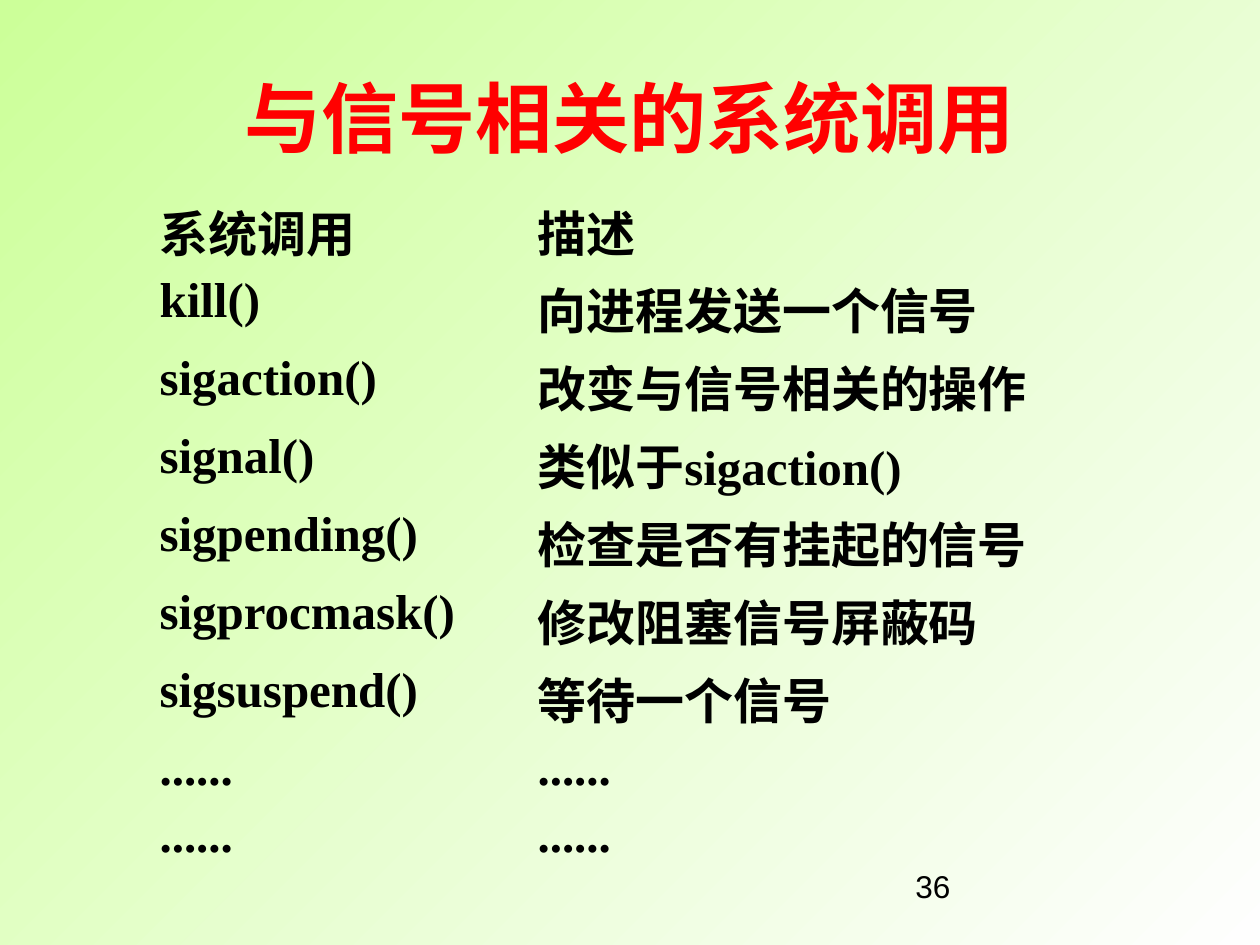
"""Build a slide listing the system calls related to signals."""
from pptx import Presentation
from pptx import util as u
from pptx.dml.color import RGBColor
from pptx.enum import text

PX = 914400 / 126
COLORS = {"black": "000000", "title": "FF0000", "light": "FEFEFE", "green": "CCFF99"}
NO_GRID = "{2D5ABB26-0587-4C30-8999-92F81FD0307C}"
ROWS = [
    ("系统调用", "描述"),
    ("kill()", "向进程发送一个信号"),
    ("sigaction()", "改变与信号相关的操作"),
    ("signal()", "类似于sigaction()"),
    ("sigpending()", "检查是否有挂起的信号"),
    ("sigprocmask()", "修改阻塞信号屏蔽码"),
    ("sigsuspend()", "等待一个信号"),
    ("......", "......"),
    ("......", "......"),
]
COL_WIDTHS = [378, 641]
ROW_HEIGHTS = [78] * 7 + [67] * 2


def px(*values):
    return [u.Emu(round(v * PX)) for v in values]


def write(tf, words, font, size, color, bold):
    p = tf.paragraphs[0]
    p.add_run().text = words
    p.font.name, p.font.size, p.font.bold = font, u.Pt(size), bold
    p.font.color.rgb = RGBColor.from_string(COLORS[color])
    return p


prs = Presentation()
prs.slide_width, prs.slide_height = px(1260, 945)
s = prs.slides.add_slide(prs.slide_layouts[6])

fill = s.background.fill
fill.gradient()
fill.gradient_angle = 135
for stop, name in zip(fill.gradient_stops, ("light", "green")):
    stop.color.rgb = RGBColor.from_string(COLORS[name])

tf = s.shapes.add_textbox(*px(903, 861, 294, 66)).text_frame
tf.word_wrap = True
write(tf, "36", "Arial", 18, "black", False)

tf = s.shapes.add_textbox(*px(63, 38, 1134, 158)).text_frame
tf.word_wrap = True
tf.vertical_anchor = text.MSO_ANCHOR.MIDDLE
p = write(tf, "与信号相关的系统调用", "Arial", 44, "title", True)
p.alignment = text.PP_ALIGN.CENTER

frame = s.shapes.add_table(
    len(ROWS), len(COL_WIDTHS), *px(147, 193, sum(COL_WIDTHS), sum(ROW_HEIGHTS)))
table = frame.table
table.first_row = table.horz_banding = False
table._tbl.tblPr[0].text = NO_GRID
for column, width in zip(table.columns, px(*COL_WIDTHS)):
    column.width = width
for row, height, words in zip(table.rows, px(*ROW_HEIGHTS), ROWS):
    row.height = height
    for cell, word in zip(row.cells, words):
        cell.fill.background()
        p = write(cell.text_frame, word, "Times New Roman", 28, "black", True)
        p.line_spacing = 0.93

prs.save("out.pptx")
